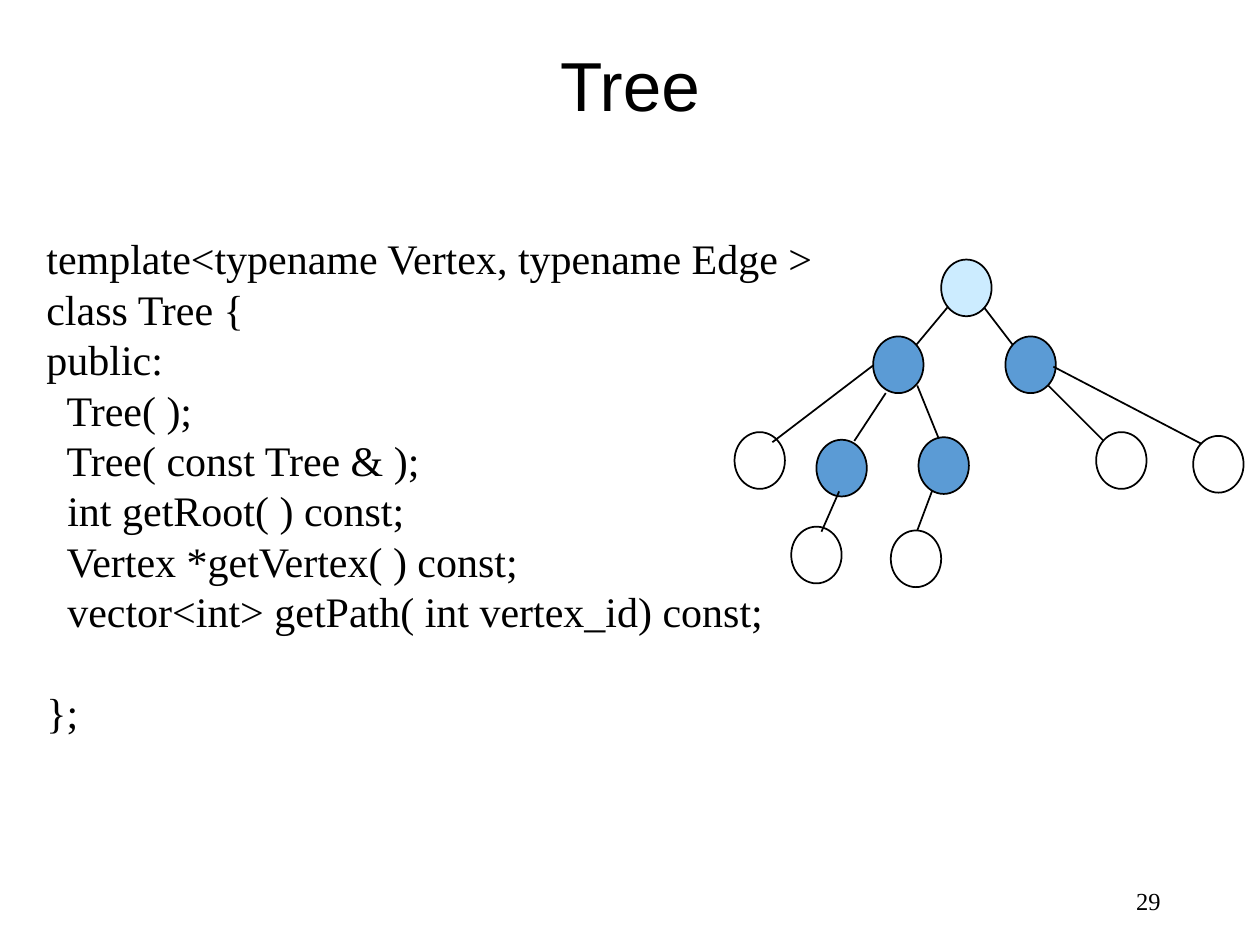
from lxml.etree import SubElement
from pptx import Presentation
from pptx.dml.color import RGBColor
from pptx.enum.shapes import MSO_CONNECTOR, MSO_SHAPE
from pptx.enum.text import MSO_ANCHOR, PP_ALIGN
from pptx.oxml.ns import qn
from pptx.util import Inches, Pt


def rgb(value):
    return RGBColor.from_string(value)


def add_text(box, lines, font, para, frame):
    """Add a text box; font, para and frame hold attribute values."""
    tf = s.shapes.add_textbox(*map(Inches, box)).text_frame
    for name, value in frame.items():
        setattr(tf, name, value)
    for i, line in enumerate(lines):
        p = tf.add_paragraph() if i else tf.paragraphs[0]
        for name, value in para.items():
            setattr(p, name, value)
        r = p.add_run()
        r.text = line
        for name, value in font.items():
            setattr(r.font, name, value)
        r.font.color.rgb = rgb("000000")
    return tf


prs = Presentation()
prs.slide_width, prs.slide_height = Inches(10), Inches(7.5)
s = prs.slides.add_slide(prs.slide_layouts[6])

add_text((0.75, 0.33, 8.5, 0.75), ["Tree"],
         {"name": "Arial", "size": Pt(39.6)},
         {"alignment": PP_ALIGN.CENTER, "line_spacing": 0.9},
         {"word_wrap": True, "vertical_anchor": MSO_ANCHOR.MIDDLE})
add_text((7.06, 6.95, 2.25, 0.4), ["29"],
         {"name": "Times New Roman", "size": Pt(14)},
         {"alignment": PP_ALIGN.RIGHT},
         {"word_wrap": True, "vertical_anchor": MSO_ANCHOR.MIDDLE})

code = [
    "template<typename Vertex, typename Edge >",
    "class Tree {",
    "public:",
    "  Tree( );",
    "  Tree( const Tree & );",
    "  int getRoot( ) const;",
    "  Vertex *getVertex( ) const;",
    "  vector<int> getPath( int vertex_id) const;",
    "};",
]
line_height = Pt(28.8)
tf = add_text((0.27, 1.8, 6.33, 4.14), code,
              {"name": "Times New Roman", "size": Pt(24)},
              {"line_spacing": line_height}, {"word_wrap": False})
tf.paragraphs[-1].space_before = line_height

# Tree nodes: left and top of each, by fill
nodes = {
    "CCECFF": [(7.47, 2.06)],
    "5B9BD5": [(6.93, 2.67), (7.98, 2.67), (6.48, 3.49), (7.29, 3.47)],
    "FFFFFF": [(6.28, 4.18), (7.07, 4.21), (8.7, 3.43), (9.47, 3.46), (5.83, 3.43)],
}
for fill, places in nodes.items():
    for left, top in places:
        sp = s.shapes.add_shape(MSO_SHAPE.OVAL, Inches(left), Inches(top),
                                Inches(0.4), Inches(0.45))
        sp.shadow.inherit = False
        sp.fill.solid()
        sp.fill.fore_color.rgb = rgb(fill)
        sp.line.color.rgb = rgb("000000")
        sp.line.width = Pt(1)

# Tree edges: parent end, child end
edges = [
    (7.52, 2.44, 7.27, 2.74), (7.81, 2.44, 8.04, 2.74),
    (6.93, 2.9, 6.13, 3.51), (7.03, 3.12, 6.78, 3.5), (7.28, 3.06, 7.45, 3.48),
    (8.32, 3.06, 8.76, 3.5), (8.36, 2.91, 9.53, 3.52),
    (6.66, 3.9, 6.52, 4.22), (7.4, 3.89, 7.28, 4.21),
]
for edge in edges:
    line = s.shapes.add_connector(MSO_CONNECTOR.STRAIGHT, *map(Inches, edge))
    line.line.color.rgb = rgb("000000")
    line.line.width = Pt(1)
    SubElement(line._element.spPr, qn("a:effectLst"))

prs.save("out.pptx")
